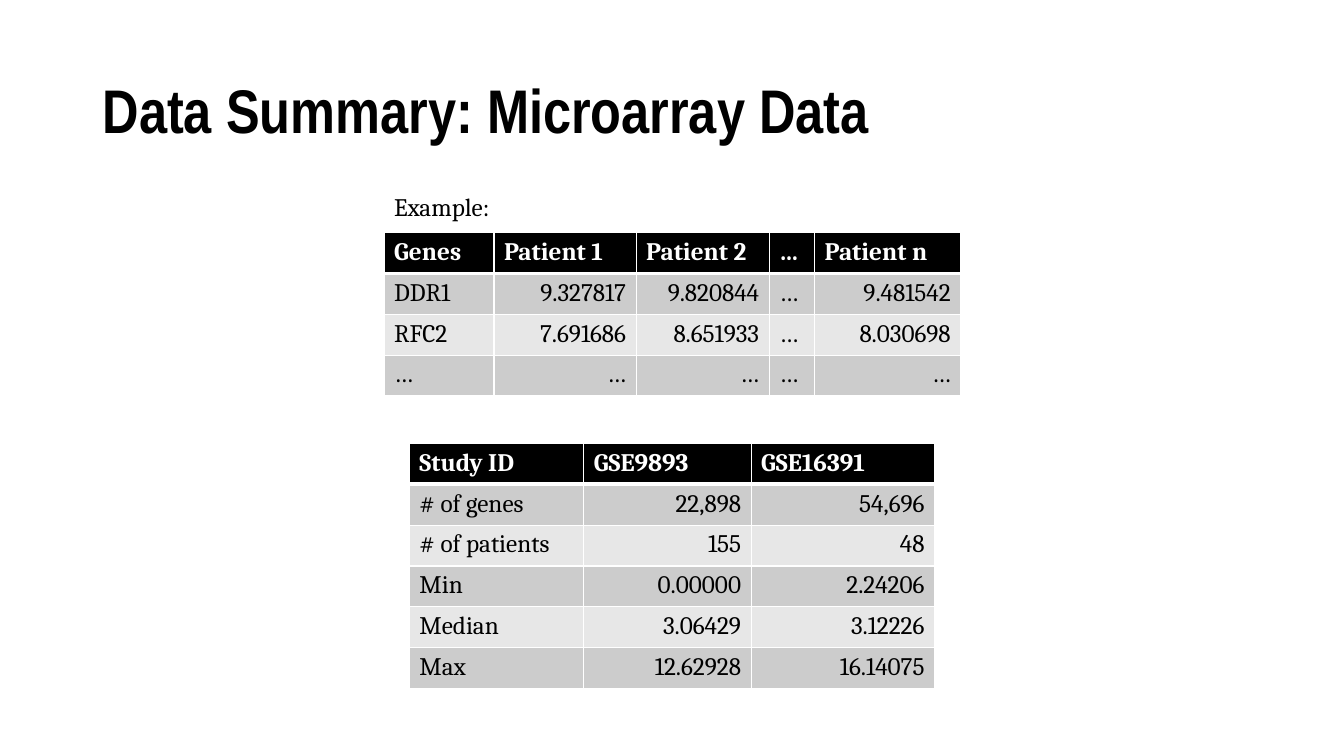
from dataclasses import dataclass

from lxml.etree import SubElement
from pptx import Presentation
from pptx.dml.color import RGBColor
from pptx.enum.text import MSO_ANCHOR, MSO_AUTO_SIZE, PP_ALIGN
from pptx.oxml.ns import qn
from pptx.util import Inches, Pt


@dataclass(frozen=True)
class Theme:
    ink: str = "000000"
    paper: str = "FFFFFF"
    bands: tuple = ("CCCCCC", "E7E7E7")
    title_font: str = "Arial Narrow"
    body_font: str = "Cambria"
    title_size: int = 44
    body_size: int = 18
    thin: int = 1
    thick: int = 3


THEME = Theme()

EXPRESSION_ROWS = [
    ["Genes", "Patient 1", "Patient 2", "…", "Patient n"],
    ["DDR1", "9.327817", "9.820844", "…", "9.481542"],
    ["RFC2", "7.691686", "8.651933", "…", "8.030698"],
    ["…", "…", "…", "…", "…"],
]

STUDY_ROWS = [
    ["Study ID", "GSE9893", "GSE16391"],
    ["# of genes", "22,898", "54,696"],
    ["# of patients", "155", "48"],
    ["Min", "0.00000", "2.24206"],
    ["Median", "3.06429", "3.12226"],
    ["Max", "12.62928", "16.14075"],
]


def write_text(frame, text, font=THEME.body_font, size=THEME.body_size,
               color=THEME.ink, bold=False, align=PP_ALIGN.LEFT, spacing=None):
    para = frame.paragraphs[0]
    para.alignment = align
    para.line_spacing = spacing
    span = para.add_run()
    span.text = text
    span.font.name = font
    span.font.size = Pt(size)
    span.font.bold = bold
    span.font.color.rgb = RGBColor.from_string(color)


def add_text(page, text, left, top, width, height, wrap=True,
             anchor=MSO_ANCHOR.TOP, auto_size=MSO_AUTO_SIZE.NONE, **style):
    box = page.shapes.add_textbox(
        Inches(left), Inches(top), Inches(width), Inches(height))
    frame = box.text_frame
    frame.word_wrap = wrap
    frame.auto_size = auto_size
    frame.vertical_anchor = anchor
    write_text(frame, text, **style)


def set_borders(cell, top, bottom):
    properties = cell._tc.get_or_add_tcPr()
    widths = {"lnL": THEME.thin, "lnR": THEME.thin, "lnT": top, "lnB": bottom}
    for side, width in widths.items():
        line = SubElement(properties, qn(f"a:{side}"), w=str(Pt(width)))
        fill = SubElement(line, qn("a:solidFill"))
        SubElement(fill, qn("a:srgbClr"), val=THEME.paper)


def format_cell(cell, text, row, align):
    header = row == 0
    set_borders(cell,
                top=THEME.thick if row == 1 else THEME.thin,
                bottom=THEME.thick if header else THEME.thin)
    fill = THEME.ink if header else THEME.bands[(row - 1) % 2]
    cell.fill.solid()
    cell.fill.fore_color.rgb = RGBColor.from_string(fill)
    write_text(cell.text_frame, text, bold=header, align=align,
               color=THEME.paper if header else THEME.ink)


def add_data_table(page, rows, left, top, height, widths, left_columns):
    table = page.shapes.add_table(
        len(rows), len(widths), Inches(left), Inches(top),
        Inches(sum(widths)), Inches(height)).table
    for column, width in zip(table.columns, widths):
        column.width = Inches(width)
    for row, texts in enumerate(rows):
        for column, text in enumerate(texts):
            is_left = row == 0 or column in left_columns
            format_cell(table.cell(row, column), text, row,
                        PP_ALIGN.LEFT if is_left else PP_ALIGN.RIGHT)


def main():
    deck = Presentation()
    deck.slide_width = Inches(13.33)
    deck.slide_height = Inches(7.5)
    page = deck.slides.add_slide(deck.slide_layouts[6])
    add_text(page, "Data Summary: Microarray Data", 0.92, 0.4, 11.5, 1.45,
             anchor=MSO_ANCHOR.MIDDLE, font=THEME.title_font,
             size=THEME.title_size, bold=True, spacing=0.9)
    add_data_table(page, EXPRESSION_ROWS, 3.81, 2.31, 1.62,
                   widths=[1.09, 1.41, 1.32, 0.45, 1.45], left_columns={0, 3})
    add_text(page, "Example:", 3.81, 1.85, 1.2, 0.4, wrap=False,
             auto_size=MSO_AUTO_SIZE.SHAPE_TO_FIT_TEXT)
    add_data_table(page, STUDY_ROWS, 4.06, 4.4, 2.43,
                   widths=[1.73, 1.66, 1.82], left_columns={0})
    deck.save("out.pptx")


if __name__ == "__main__":
    main()
